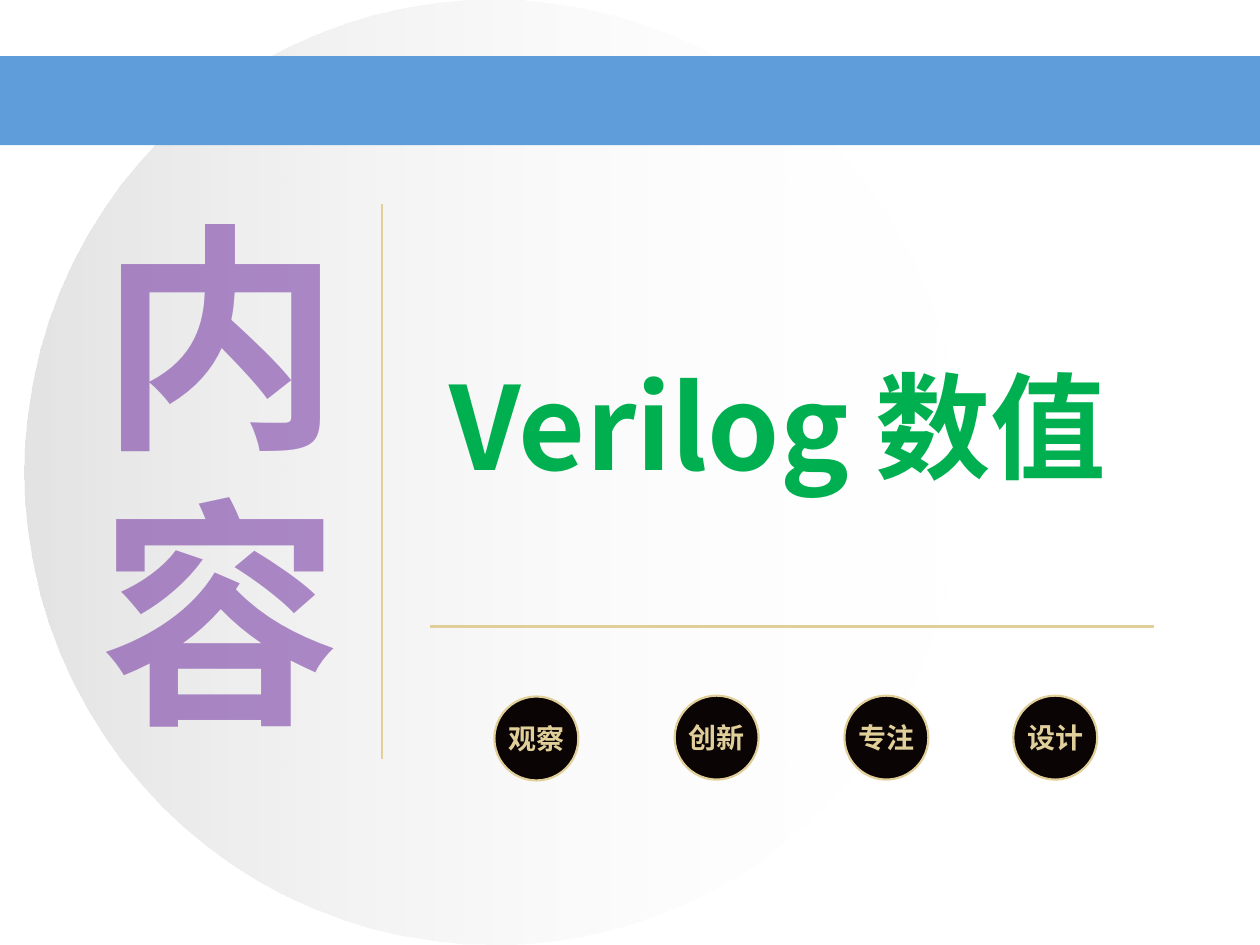
from dataclasses import dataclass

from lxml.etree import SubElement
from pptx import Presentation
from pptx.dml.color import RGBColor
from pptx.enum.shapes import MSO_CONNECTOR, MSO_SHAPE
from pptx.enum.text import MSO_ANCHOR, MSO_AUTO_SIZE, PP_ALIGN
from pptx.oxml.ns import qn
from pptx.util import Pt

FONT = "Noto Sans CJK SC"
GOLD, BLACK, BLUE = "E1CF9A", "0A0404", "5E9CDA"
PURPLE, GREEN, GREY, WHITE = "7030A0", "00B050", "C0C0C0", "FFFFFF"


@dataclass
class Box:
    left: float
    top: float
    width: float
    height: float

    def lengths(self) -> list[Pt]:
        return [Pt(v) for v in (self.left, self.top, self.width, self.height)]


@dataclass
class Badge:
    word: str
    left: float
    top: float


def color(hex_value: str) -> RGBColor:
    return RGBColor.from_string(hex_value)


def set_alpha(element, percent: int) -> None:
    for rgb in element.iter(qn("a:srgbClr")):
        SubElement(rgb, qn("a:alpha")).set("val", str(percent * 1000))


def add_solid(shapes, kind, box: Box, fill: str, outline: str = ""):
    shape = shapes.add_shape(kind, *box.lengths())
    shape.shadow.inherit = False
    shape.fill.solid()
    shape.fill.fore_color.rgb = color(fill)
    if outline:
        shape.line.color.rgb = color(outline)
        shape.line.width = Pt(1.25)
    else:
        shape.line.fill.background()
    return shape


def write(frame, text: str, size: float, hex_value: str, wrap: bool = True):
    """Fill a frame with one bold run on a fixed line pitch."""
    frame.auto_size = MSO_AUTO_SIZE.NONE
    frame.word_wrap = wrap
    frame.vertical_anchor = MSO_ANCHOR.TOP
    frame.margin_left = frame.margin_right = Pt(5)
    frame.margin_top = frame.margin_bottom = Pt(2.9)
    paragraph = frame.paragraphs[0]
    paragraph.alignment = PP_ALIGN.LEFT
    paragraph.line_spacing = Pt(round(1.2 * size, 1))
    run = paragraph.add_run()
    run.text = text
    run.font.size = Pt(size)
    run.font.bold = True
    run.font.name = FONT
    run.font.color.rgb = color(hex_value)
    SubElement(run.font._element, qn("a:ea")).set("typeface", FONT)
    return run


def add_rule(shapes, x1: float, y1: float, x2: float, y2: float) -> None:
    rule = shapes.add_connector(MSO_CONNECTOR.STRAIGHT, Pt(x1), Pt(y1), Pt(x2), Pt(y2))
    rule.line.color.rgb = color(GOLD)
    rule.line.width = Pt(1.5)
    SubElement(rule.element.spPr, qn("a:effectLst"))


def add_badge(shapes, badge: Badge) -> None:
    group = shapes.add_group_shape().shapes
    add_solid(group, MSO_SHAPE.OVAL, Box(badge.left, badge.top, 48, 48), BLACK, GOLD)
    label = group.add_textbox(*Box(badge.left + 3, badge.top + 11.3, 43, 25).lengths())
    write(label.text_frame, badge.word, 16, GOLD)


def add_heading_character(shapes, character: str, top: float) -> None:
    heading = shapes.add_textbox(*Box(52, top, 150.5, 173).lengths())
    run = write(heading.text_frame, character, 138, PURPLE, wrap=False)
    set_alpha(run.font._element, 55)


def main() -> None:
    deck = Presentation()
    deck.slide_width, deck.slide_height = Pt(720), Pt(540)
    slide = deck.slides.add_slide(deck.slide_layouts[5])
    shapes = slide.shapes

    # Backdrop: fading disc and blue band
    disc = add_solid(shapes, MSO_SHAPE.OVAL, Box(14, 0, 536, 540), GREY)
    disc.fill.gradient()
    disc.fill.gradient_angle = 0
    for stop, hex_value in zip(disc.fill.gradient_stops, (GREY, WHITE)):
        stop.color.rgb = color(hex_value)
    disc_stops = disc.element.spPr.iter(qn("a:gs"))
    for stop_element, alpha in zip(disc_stops, (44, 0)):
        set_alpha(stop_element, alpha)
    add_solid(shapes, MSO_SHAPE.RECTANGLE, Box(0, 32, 720, 51), BLUE)

    # Large heading on the left, one character per box
    for character, top in (("内", 104.5), ("容", 262)):
        add_heading_character(shapes, character, top)

    # Topic title, kept in front of the backdrop
    topic = shapes.title
    topic.left, topic.top, topic.width, topic.height = Box(252, 200, 396, 86).lengths()
    write(topic.text_frame, "Verilog 数值", 66, GREEN)
    shapes.element.append(topic.element)

    # Dividing rules
    add_rule(shapes, 245.5, 358, 659.5, 358)
    add_rule(shapes, 218.3, 116.5, 218.3, 434)

    # Keyword badges
    for badge in (
        Badge("观察", 282.5, 398),
        Badge("创新", 385.5, 397.5),
        Badge("专注", 482.5, 397.5),
        Badge("设计", 579, 397.5),
    ):
        add_badge(shapes, badge)

    deck.save("out.pptx")


if __name__ == "__main__":
    main()
